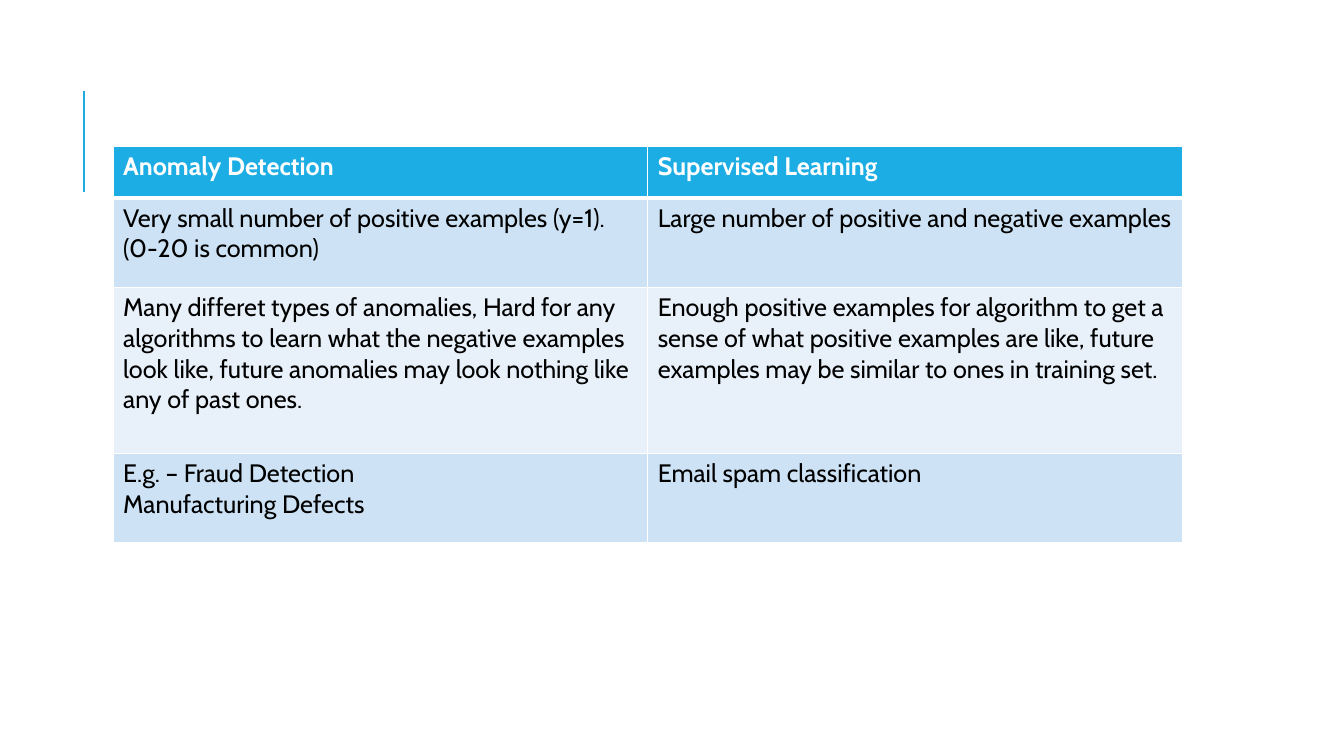
from dataclasses import dataclass

from lxml import etree
from pptx import Presentation
from pptx import util as u
from pptx.dml import color
from pptx.enum import shapes
from pptx.oxml import ns
from pptx.slide import Slide
from pptx.table import _Cell


@dataclass(frozen=True)
class Theme:
    font: str = "Cabin"
    size: float = 18
    accent: str = "1CADE4"
    white: str = "FFFFFF"
    ink: str = "000000"
    dark_band: str = "CDE3F5"
    light_band: str = "E8F1FA"
    border: float = 1
    header_border: float = 3


@dataclass(frozen=True)
class Row:
    height: float
    fill: str
    ink: str
    cells: tuple[tuple[str, ...], ...]
    bold: bool = False
    top: float = 1
    bottom: float = 1


THEME = Theme()
COLUMN_WIDTH = 381.9
ROWS = (
    Row(36.7, THEME.accent, THEME.white,
        (("Anomaly Detection",), ("Supervised Learning",)),
        bold=True, bottom=THEME.header_border),
    Row(63.9, THEME.dark_band, THEME.ink,
        (("Very small number of positive examples (y=1).", "(0-20 is common)"),
         ("Large number of positive and negative examples",)),
        top=THEME.header_border),
    Row(118.6, THEME.light_band, THEME.ink,
        (("Many differet types of anomalies, Hard for any algorithms to learn "
          "what the negative examples look like, future anomalies may look "
          "nothing like any of past ones.",),
         ("Enough positive examples for algorithm to get a sense of what "
          "positive examples are like, future examples may be similar to ones "
          "in training set.",))),
    Row(63.9, THEME.dark_band, THEME.ink,
        (("E.g. – Fraud Detection", "Manufacturing Defects"),
         ("Email spam classification",))),
)


def rgb(value: str) -> color.RGBColor:
    return color.RGBColor.from_string(value)


def draw_borders(cell: _Cell, row: Row) -> None:
    properties = cell._tc.get_or_add_tcPr()
    widths = {"L": THEME.border, "R": THEME.border, "T": row.top, "B": row.bottom}
    for side, width in widths.items():
        line = etree.SubElement(properties, ns.qn(f"a:ln{side}"), w=str(u.Pt(width)))
        fill = etree.SubElement(line, ns.qn("a:solidFill"))
        etree.SubElement(fill, ns.qn("a:srgbClr"), val=THEME.white)


def fill_cell(cell: _Cell, row: Row, lines: tuple[str, ...]) -> None:
    draw_borders(cell, row)
    cell.fill.solid()
    cell.fill.fore_color.rgb = rgb(row.fill)
    frame = cell.text_frame
    for index, line in enumerate(lines):
        para = frame.add_paragraph() if index else frame.paragraphs[0]
        span = para.add_run()
        span.text = line
        span.font.name = THEME.font
        span.font.size = u.Pt(THEME.size)
        span.font.bold = row.bold
        span.font.color.rgb = rgb(row.ink)


def draw_table(page: Slide, left: float, top: float) -> None:
    columns = len(ROWS[0].cells)
    table = page.shapes.add_table(
        len(ROWS), columns, u.Pt(left), u.Pt(top),
        u.Pt(COLUMN_WIDTH * columns), u.Pt(sum(row.height for row in ROWS)),
    ).table
    for column in table.columns:
        column.width = u.Pt(COLUMN_WIDTH)
    for row_index, row in enumerate(ROWS):
        table.rows[row_index].height = u.Pt(row.height)
        for column_index, lines in enumerate(row.cells):
            fill_cell(table.cell(row_index, column_index), row, lines)


def draw_accent_line(page: Slide, x: float, top: float, bottom: float) -> None:
    line = page.shapes.add_connector(
        shapes.MSO_CONNECTOR.STRAIGHT, u.Pt(x), u.Pt(bottom), u.Pt(x), u.Pt(top))
    line.line.color.rgb = rgb(THEME.accent)
    line.line.width = u.Pt(1.5)
    etree.SubElement(line._element.spPr, ns.qn("a:effectLst"))


def main() -> None:
    deck = Presentation()
    deck.slide_width, deck.slide_height = u.Pt(960), u.Pt(540)
    page = deck.slides.add_slide(deck.slide_layouts[6])
    draw_accent_line(page, x=60, top=65, bottom=137)
    draw_table(page, left=80.8, top=104.5)
    deck.save("out.pptx")


if __name__ == "__main__":
    main()
